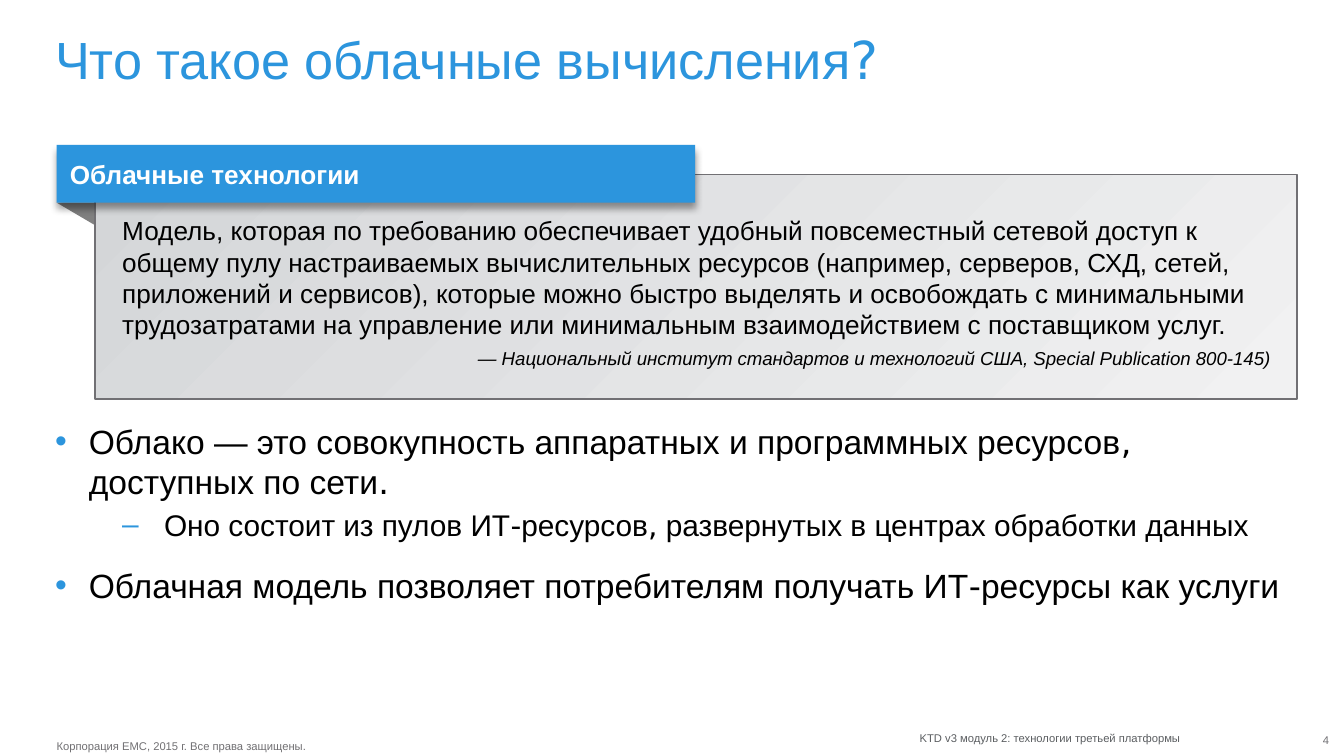
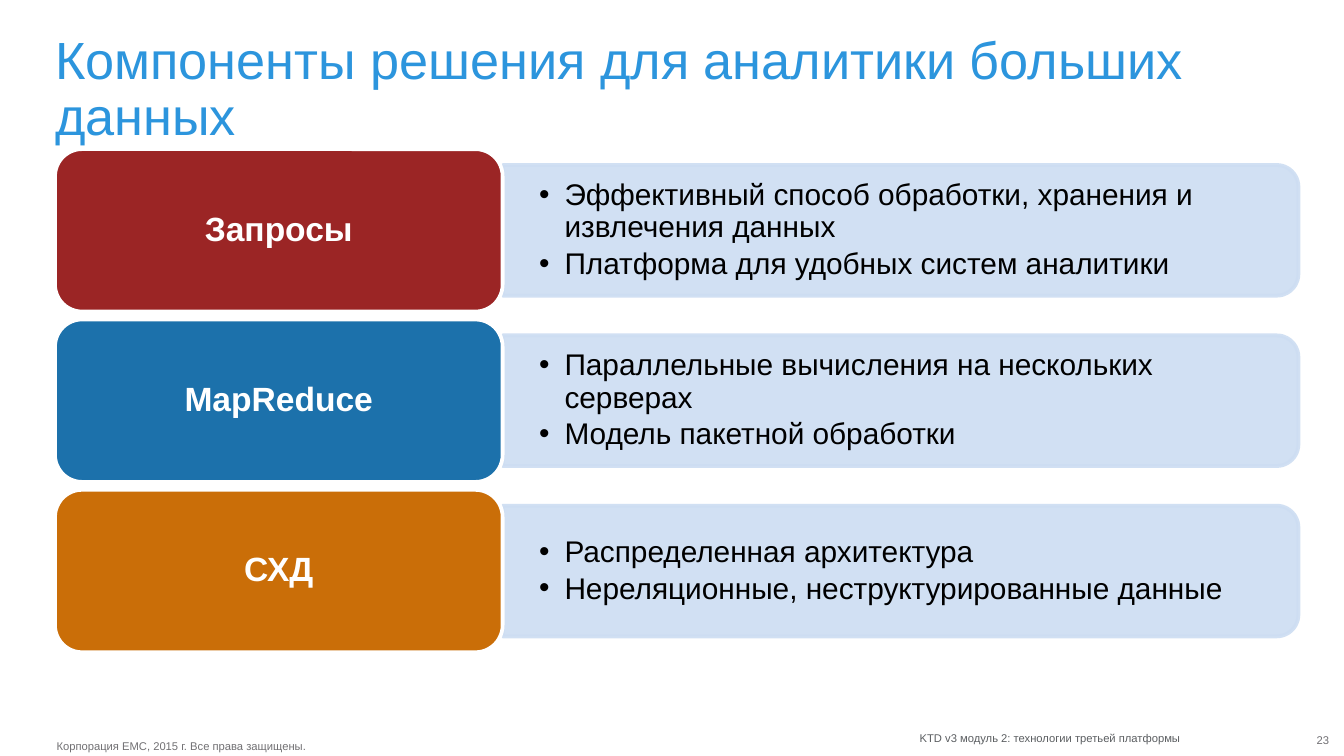
from collections import namedtuple
from itertools import groupby
from math import cos, pi, sin

from lxml.etree import SubElement
from pptx import Presentation
from pptx.dml.color import RGBColor
from pptx.enum.shapes import MSO_SHAPE
from pptx.enum.text import MSO_ANCHOR, MSO_AUTO_SIZE, PP_ALIGN
from pptx.oxml.ns import qn
from pptx.util import Cm, Pt

Box = namedtuple("Box", "left top width height")

BLUE, BLACK, WHITE = "2C95DD", "000000", "FFFFFF"
GREY, DARK_GREY, FOLD_GREY = "717074", "5B5E61", "808080"
PALE_BLUE = "CDDDF2"
TEXT_FONT, PUNCTUATION_FONT = "Arial", "DejaVu Sans"
PUNCTUATION = "?,.-"

TITLE_BOX = Box(1.04, 0.64, 23.5, 1.27)
DEFINITION_BOX = Box(1.07, 2.74, 23.44, 4.8)
LIST_BOX = Box(1.04, 7.95, 23.5, 4.34)
ROWS_BOX = Box(1.04, 2.82, 23.5, 9.51)

CLOUD_POINTS = [
    (0, "Облако — это совокупность аппаратных и программных ресурсов, доступных по сети."),
    (1, "Оно состоит из пулов ИТ-ресурсов, развернутых в центрах обработки данных"),
    (0, "Облачная модель позволяет потребителям получать ИТ-ресурсы как услуги"),
]
DEFINITION = (
    "Модель, которая по требованию обеспечивает удобный повсеместный сетевой доступ к общему пулу "
    "настраиваемых вычислительных ресурсов (например, серверов, СХД, сетей, приложений и сервисов), "
    "которые можно быстро выделять и освобождать с минимальными трудозатратами на управление или "
    "минимальным взаимодействием с поставщиком услуг."
)
CITATION = "— Национальный институт стандартов и технологий США, Special Publication 800-145)"
COMPONENTS = [
    ("Запросы", "9B2525", ["Эффективный способ обработки, хранения и извлечения данных",
                           "Платформа для удобных систем аналитики"]),
    ("MapReduce", "1C71AB", ["Параллельные вычисления на нескольких серверах",
                             "Модель пакетной обработки"]),
    ("СХД", "CA6E08", ["Распределенная архитектура",
                       "Нереляционные, неструктурированные данные"]),
]


def colour(code):
    """Turn a hex string into a colour."""
    return RGBColor.from_string(code)


def lengths(box):
    """Turn a box into four lengths."""
    return [Cm(value) for value in box]


def place(shape, box):
    """Move a shape into a box."""
    shape.left, shape.top, shape.width, shape.height = lengths(box)


def paint(shape, fill, line=None, width=1):
    """Give a shape a flat fill and an optional outline."""
    shape.shadow.inherit = False
    shape.fill.solid()
    shape.fill.fore_color.rgb = colour(fill)
    outline(shape, line, width)


def outline(shape, line, width):
    """Draw or hide the outline of a shape."""
    if line is None:
        shape.line.fill.background()
    else:
        shape.line.color.rgb = colour(line)
        shape.line.width = Pt(width)


def set_frame(frame, insets=(0, 0, 0, 0), anchor=MSO_ANCHOR.TOP, wrap=True):
    """Set insets, anchor and wrapping of a text frame."""
    frame.auto_size = MSO_AUTO_SIZE.NONE
    frame.word_wrap = wrap
    frame.vertical_anchor = anchor
    (frame.margin_left, frame.margin_top,
     frame.margin_right, frame.margin_bottom) = [Cm(value) for value in insets]


def style(para, size, code, bold=False, italic=False, align=PP_ALIGN.LEFT):
    """Format every run of a paragraph."""
    para.alignment = align
    for span in para.runs:
        span.font.name = TEXT_FONT
        span.font.size = Pt(size)
        span.font.color.rgb = colour(code)
        span.font.bold = bold
        span.font.italic = italic


def style_mixed(para, size, code):
    """Format a paragraph with punctuation in its own font."""
    text = para.text
    para.text = ""
    groups = [(mark, "".join(letters))
              for mark, letters in groupby(text, lambda letter: letter in PUNCTUATION)]
    for _, part in groups:
        para.add_run().text = part
    style(para, size, code)
    for span, (mark, _) in zip(para.runs, groups):
        if mark:
            span.font.name = PUNCTUATION_FONT


def bullet(para, symbol, margin, hanging, code):
    """Give a paragraph a bullet and a hanging indent."""
    props = para._p.get_or_add_pPr()
    props.set("marL", str(Cm(margin)))
    props.set("indent", str(-Cm(hanging)))
    tint = SubElement(props, qn("a:buClr"))
    SubElement(tint, qn("a:srgbClr"), val=code)
    SubElement(props, qn("a:buFont"), typeface=TEXT_FONT)
    SubElement(props, qn("a:buChar"), char=symbol)


def drop_shadow(shape):
    """Put a soft shadow below a shape."""
    effects = shape.element.spPr.find(qn("a:effectLst"))
    shadow = SubElement(effects, qn("a:outerShdw"), blurRad=str(Pt(4)), dist=str(Pt(3)),
                        dir="5400000", algn="t", rotWithShape="0")
    tint = SubElement(shadow, qn("a:srgbClr"), val=BLACK)
    SubElement(tint, qn("a:alpha"), val="40000")


def soften(shape, percent):
    """Make fill and outline partly transparent."""
    for tint in shape.element.spPr.iter(qn("a:srgbClr")):
        SubElement(tint, qn("a:alpha"), val=str(percent * 1000))


def add_outline_shape(page, points):
    """Build a closed freeform through points given in centimetres."""
    start, *others = [(Cm(x), Cm(y)) for x, y in points]
    builder = page.shapes.build_freeform(*start)
    builder.add_line_segments(others, close=True)
    return builder.convert_to_shape()


def add_small_text(page, box, text, code, align):
    """Add one line of footer text."""
    frame = page.shapes.add_textbox(*lengths(box)).text_frame
    set_frame(frame, wrap=False)
    frame.text = text
    style(frame.paragraphs[0], 6, code, align=align)


def add_footer(page, number):
    """Add copyright line, module name and page number."""
    add_small_text(page, Box(1.07, 13.97, 4.85, 0.25),
                   "Корпорация EMC, 2015 г. Все права защищены.", "717073", PP_ALIGN.LEFT)
    add_small_text(page, Box(17.35, 13.82, 4.95, 0.25),
                   "KTD v3 модуль 2: технологии третьей платформы", DARK_GREY, PP_ALIGN.RIGHT)
    add_small_text(page, Box(24.33, 13.87, 0.79, 0.25), number, GREY, PP_ALIGN.RIGHT)


def add_page(deck, layout, title, number):
    """Add a slide with the shared title and footer."""
    page = deck.slides.add_slide(deck.slide_layouts[layout])
    place(page.shapes.title, TITLE_BOX)
    frame = page.shapes.title.text_frame
    set_frame(frame)
    frame.text = title
    para = frame.paragraphs[0]
    para.line_spacing = 0.9
    style_mixed(para, 28, BLUE)
    add_footer(page, number)
    return page


def fill_list(holder, box, points):
    """Fill the body placeholder with a two-level list."""
    place(holder, box)
    frame = holder.text_frame
    set_frame(frame)
    frame.text = "\n".join(text for _, text in points)
    levels = [("•", 0.64, 0.64, 18, 12), ("–", 2.06, 0.79, 16, 3)]
    for index, (para, (level, _)) in enumerate(zip(frame.paragraphs, points)):
        symbol, margin, hanging, size, before = levels[level]
        para.level = level
        para.space_before = Pt(before if index else 0)
        bullet(para, symbol, margin, hanging, BLUE)
        style_mixed(para, size, BLACK)


def add_definition(page, box, heading, text, citation):
    """Draw a quotation panel with a folded ribbon heading."""
    ribbon_height, step, drop = 1.09, 0.73, 0.56
    ribbon_bottom = box.top + ribbon_height
    panel_left = box.left + step
    fold = add_outline_shape(page, [(box.left, ribbon_bottom), (panel_left, ribbon_bottom),
                                    (panel_left, ribbon_bottom + 0.43)])
    paint(fold, FOLD_GREY)

    panel = page.shapes.add_shape(MSO_SHAPE.RECTANGLE, *lengths(
        Box(panel_left, box.top + drop, box.width - step, box.height - drop)))
    panel.shadow.inherit = False
    panel.fill.gradient()
    panel.fill.gradient_angle = 315
    for stop, position, code in zip(panel.fill.gradient_stops, (0, 1), ("D4D6D8", "F1F1F2")):
        stop.position = position
        stop.color.rgb = colour(code)
    outline(panel, GREY, 1)
    frame = panel.text_frame
    set_frame(frame, (0.51, 0.76, 0.51, 0.13))
    frame.text = f"{text}\n{citation}"
    quote, source = frame.paragraphs
    style(quote, 14, BLACK)
    style(source, 10, BLACK, italic=True, align=PP_ALIGN.RIGHT)
    source.space_before = Pt(3.5)

    ribbon = page.shapes.add_shape(MSO_SHAPE.RECTANGLE, *lengths(
        Box(box.left, box.top, 12.07, ribbon_height)))
    paint(ribbon, BLUE)
    drop_shadow(ribbon)
    set_frame(ribbon.text_frame, (0.25, 0.13, 0.25, 0.13), MSO_ANCHOR.MIDDLE)
    ribbon.text_frame.text = heading
    style(ribbon.text_frame.paragraphs[0], 14, WHITE, bold=True)


def right_rounded(box, radius, steps=12):
    """List the corners of a box whose right side is rounded."""
    right, bottom = box.left + box.width, box.top + box.height
    angles = [pi / 2 * step / steps for step in range(steps + 1)]
    upper = [(right - radius + radius * sin(a), box.top + radius - radius * cos(a)) for a in angles]
    lower = [(right - radius + radius * cos(a), bottom - radius + radius * sin(a)) for a in angles]
    return [(box.left, box.top), *upper, *lower, (box.left, bottom)]


def add_component(page, box, name, code, points):
    """Draw a labelled component with its bulleted bar."""
    label_width, inset = 8.46, 0.3
    bar_box = Box(box.left + label_width, box.top + inset,
                  box.width - label_width, box.height - 2 * inset)
    bar = add_outline_shape(page, right_rounded(bar_box, 0.41))
    paint(bar, PALE_BLUE, PALE_BLUE, 2)
    soften(bar, 90)
    set_frame(bar.text_frame, (0.69, 0.46, 0.81, 0.46), MSO_ANCHOR.MIDDLE)
    bar.text_frame.text = "\n".join(points)
    for index, para in enumerate(bar.text_frame.paragraphs):
        para.level = 1
        para.line_spacing = 0.9
        para.space_before = Pt(2.4 if index else 0)
        bullet(para, "•", 0.48, 0.48, BLACK)
        style(para, 16, BLACK)

    label = page.shapes.add_shape(MSO_SHAPE.ROUNDED_RECTANGLE, *lengths(
        box._replace(width=label_width)))
    paint(label, code, WHITE, 2)
    set_frame(label.text_frame, (0.33, 0.25, 0.33, 0.25), MSO_ANCHOR.MIDDLE)
    label.text_frame.text = name
    para = label.text_frame.paragraphs[0]
    para.line_spacing = 0.9
    style(para, 18, WHITE, bold=True, align=PP_ALIGN.CENTER)


def add_components(page, box, components, gap=0.15):
    """Stack the components in equal rows."""
    height = (box.height - gap * (len(components) - 1)) / len(components)
    for index, component in enumerate(components):
        row = box._replace(top=box.top + index * (height + gap), height=height)
        add_component(page, row, *component)


def main():
    """Build and save the deck."""
    deck = Presentation()
    deck.slide_width, deck.slide_height = Cm(25.4), Cm(14.29)

    cloud = add_page(deck, 1, "Что такое облачные вычисления?", "4")
    fill_list(cloud.placeholders[1], LIST_BOX, CLOUD_POINTS)
    add_definition(cloud, DEFINITION_BOX, "Облачные технологии", DEFINITION, CITATION)

    analytics = add_page(deck, 5, "Компоненты решения для аналитики больших данных", "23")
    add_components(analytics, ROWS_BOX, COMPONENTS)

    deck.save("out.pptx")


if __name__ == "__main__":
    main()
